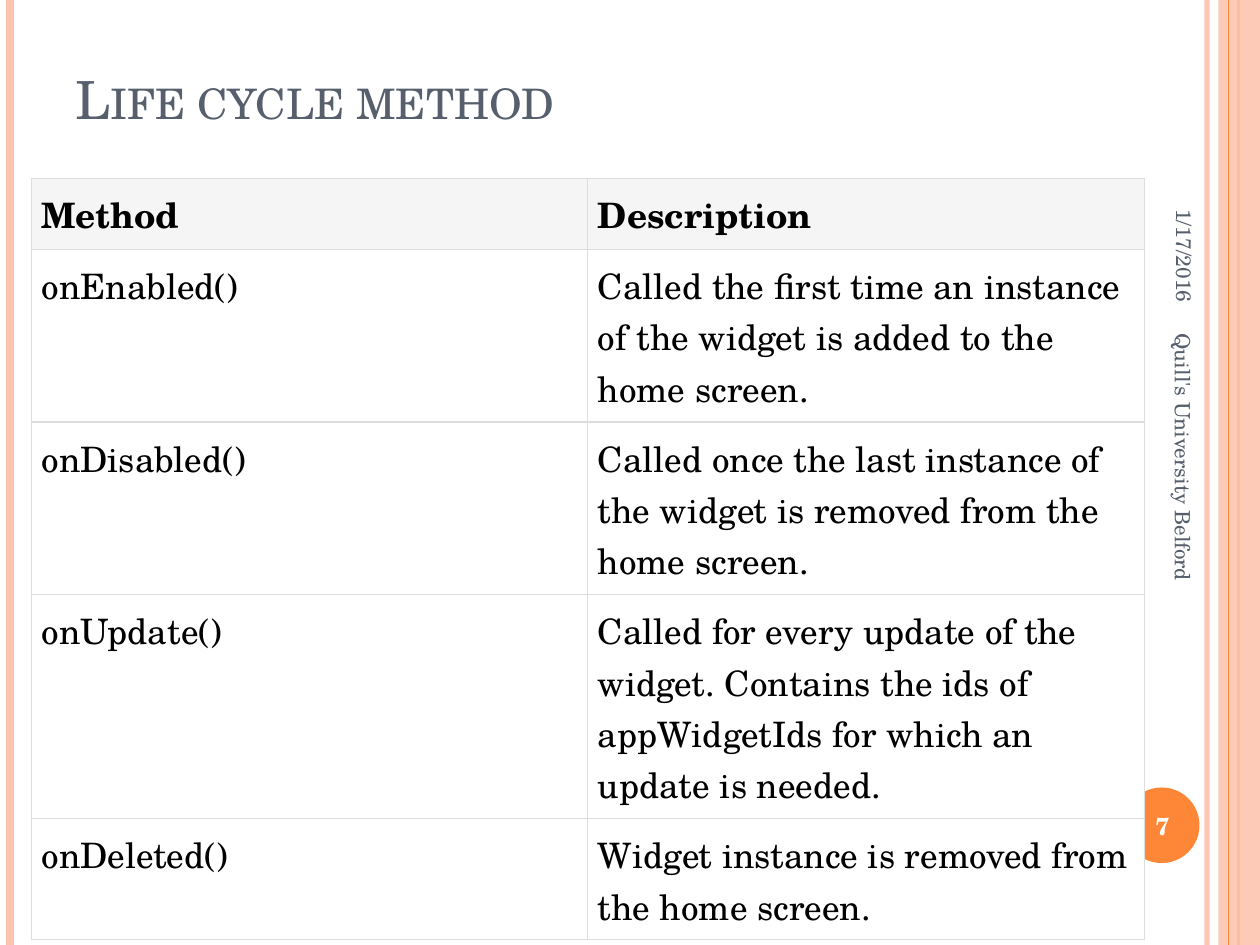
from lxml import etree
from pptx import Presentation
from pptx.dml.color import RGBColor
from pptx.enum import shapes, text
from pptx.oxml import ns
from pptx.util import Inches, Pt

FONT = "TeX Gyre Schola"
PEACH = RGBColor(0xFE, 0xC3, 0xAE)
ORANGE = RGBColor(0xFE, 0x86, 0x37)
SLATE = RGBColor(0x57, 0x5F, 0x6D)
BLACK = RGBColor(0, 0, 0)
WHITE = RGBColor(0xFF, 0xFF, 0xFF)
HEADER_GREY = RGBColor(0xF5, 0xF5, 0xF5)
BORDER_GREY = RGBColor(0xDD, 0xDD, 0xDD)

METHODS = [
    ("Method", "Description"),
    ("onEnabled()", "Called the first time an instance of the widget is added to the home screen."),
    ("onDisabled()", "Called once the last instance of the widget is removed from the home screen."),
    ("onUpdate()", "Called for every update of the widget. Contains the ids "
                   "of appWidgetIds for which an update is needed."),
    ("onDeleted()", "Widget instance is removed from the home screen."),
]
ROW_HEIGHTS = [0.56, 1.37, 1.37, 1.78, 0.96]


def set_opacity(element, percent):
    """Make the solid colour found inside an element partly transparent."""
    colour = next(element.iter(ns.qn("a:srgbClr")))
    etree.SubElement(colour, ns.qn("a:alpha"), val=str(percent * 1000))


def style(paragraph, size, colour, bold=False, align=None):
    """Set the font and alignment of a paragraph."""
    font = paragraph.font
    font.name, font.size, font.bold = FONT, Pt(size), bold
    font.color.rgb = colour
    paragraph.alignment = align
    return font


def add_label(slide, box, words, size, colour, anchor=text.MSO_ANCHOR.MIDDLE,
              rotation=0, **options):
    """Add a one-paragraph text box and return its font."""
    label = slide.shapes.add_textbox(*map(Inches, box))
    label.rotation = rotation
    frame = label.text_frame
    frame.word_wrap = True
    frame.vertical_anchor = anchor
    frame.text = words
    return style(frame.paragraphs[0], size, colour, **options)


def add_stripe(slide, x, height, colour, width, opacity=100):
    """Draw a vertical line down the slide."""
    stripe = slide.shapes.add_connector(
        shapes.MSO_CONNECTOR.STRAIGHT, Inches(x), 0, Inches(x), Inches(height))
    stripe.line.color.rgb = colour
    stripe.line.width = Pt(width)
    properties = stripe.element.spPr
    etree.SubElement(properties, ns.qn("a:effectLst"))
    if opacity < 100:
        set_opacity(properties, opacity)


def add_solid(slide, kind, box, colour):
    """Add a borderless filled shape."""
    solid = slide.shapes.add_shape(kind, *map(Inches, box))
    solid.shadow.inherit = False
    solid.fill.solid()
    solid.fill.fore_color.rgb = colour
    solid.line.fill.background()
    return solid


def add_frame(slide, width, height):
    """Draw the stripes and band along both sides of the slide."""
    add_stripe(slide, width - 0.42, height, PEACH, 3, 93)
    add_stripe(slide, 0.08, height, PEACH, 4.5)
    add_stripe(slide, width - 0.17, height, ORANGE, 1.5)
    band = add_solid(slide, shapes.MSO_SHAPE.RECTANGLE, (width - 0.33, 0, 0.33, height), PEACH)
    set_opacity(band.element.spPr, 87)
    add_stripe(slide, width - 0.25, height, ORANGE, 0.75)


def add_page_number(slide, left, top, diameter, number):
    """Draw the page number on its disc."""
    add_solid(slide, shapes.MSO_SHAPE.OVAL, (left, top, diameter, diameter), ORANGE)
    add_label(slide, (left - 0.03, top + 0.02, diameter + 0.07, diameter - 0.03), number,
              14, WHITE, bold=True, align=text.PP_ALIGN.CENTER)


def add_side_notes(slide, center_x, top):
    """Write the date and the footer running down the right margin."""
    add_label(slide, (center_x - 1.1, top + 0.9, 2.2, 0.42), "1/17/2016", 12, SLATE,
              rotation=90, align=text.PP_ALIGN.RIGHT)
    add_label(slide, (center_x - 1.76, top + 3.81, 3.5, 0.4), "Quill's University Belford",
              12, SLATE, rotation=90)


def add_borders(cell):
    """Outline a cell on its four sides."""
    properties = cell._tc.get_or_add_tcPr()
    for position, side in enumerate(("a:lnL", "a:lnR", "a:lnT", "a:lnB")):
        line = etree.Element(ns.qn(side), w=str(Pt(0.75)))
        fill = etree.SubElement(line, ns.qn("a:solidFill"))
        etree.SubElement(fill, ns.qn("a:srgbClr"), val=str(BORDER_GREY))
        properties.insert(position, line)


def add_method_table(slide, left, top, width):
    """Build the table of life cycle methods."""
    table = slide.shapes.add_table(
        len(METHODS), 2, Inches(left), Inches(top), Inches(width),
        Inches(sum(ROW_HEIGHTS))).table
    table.horz_banding = False
    for row, height, entries in zip(table.rows, ROW_HEIGHTS, METHODS):
        row.height = Inches(height)
        header = entries is METHODS[0]
        for cell, words in zip(row.cells, entries):
            cell.text = words
            cell.margin_left = cell.margin_right = Inches(0.08)
            cell.margin_top = Inches(0.07 if header else 0.08)
            cell.margin_bottom = Inches(0.07)
            cell.vertical_anchor = text.MSO_ANCHOR.MIDDLE if header else text.MSO_ANCHOR.TOP
            cell.fill.solid()
            cell.fill.fore_color.rgb = HEADER_GREY if header else WHITE
            style(cell.text_frame.paragraphs[0], 20, BLACK, bold=header)
            add_borders(cell)


def main():
    """Build and save the slide."""
    deck = Presentation()
    width, height = 10, 7.5
    deck.slide_width, deck.slide_height = Inches(width), Inches(height)
    slide = deck.slides.add_slide(deck.slide_layouts[6])
    add_frame(slide, width, height)
    add_page_number(slide, 8.92, 6.25, 0.6, "7")
    title_font = add_label(slide, (0.5, 0.3, 8.17, 0.78), "Life cycle method", 30, SLATE,
                           anchor=text.MSO_ANCHOR.BOTTOM)
    title_font._rPr.set("cap", "small")
    add_side_notes(slide, 9.4, 0.29)
    add_method_table(slide, 0.25, 1.42, 8.83)
    deck.save("out.pptx")


if __name__ == "__main__":
    main()
